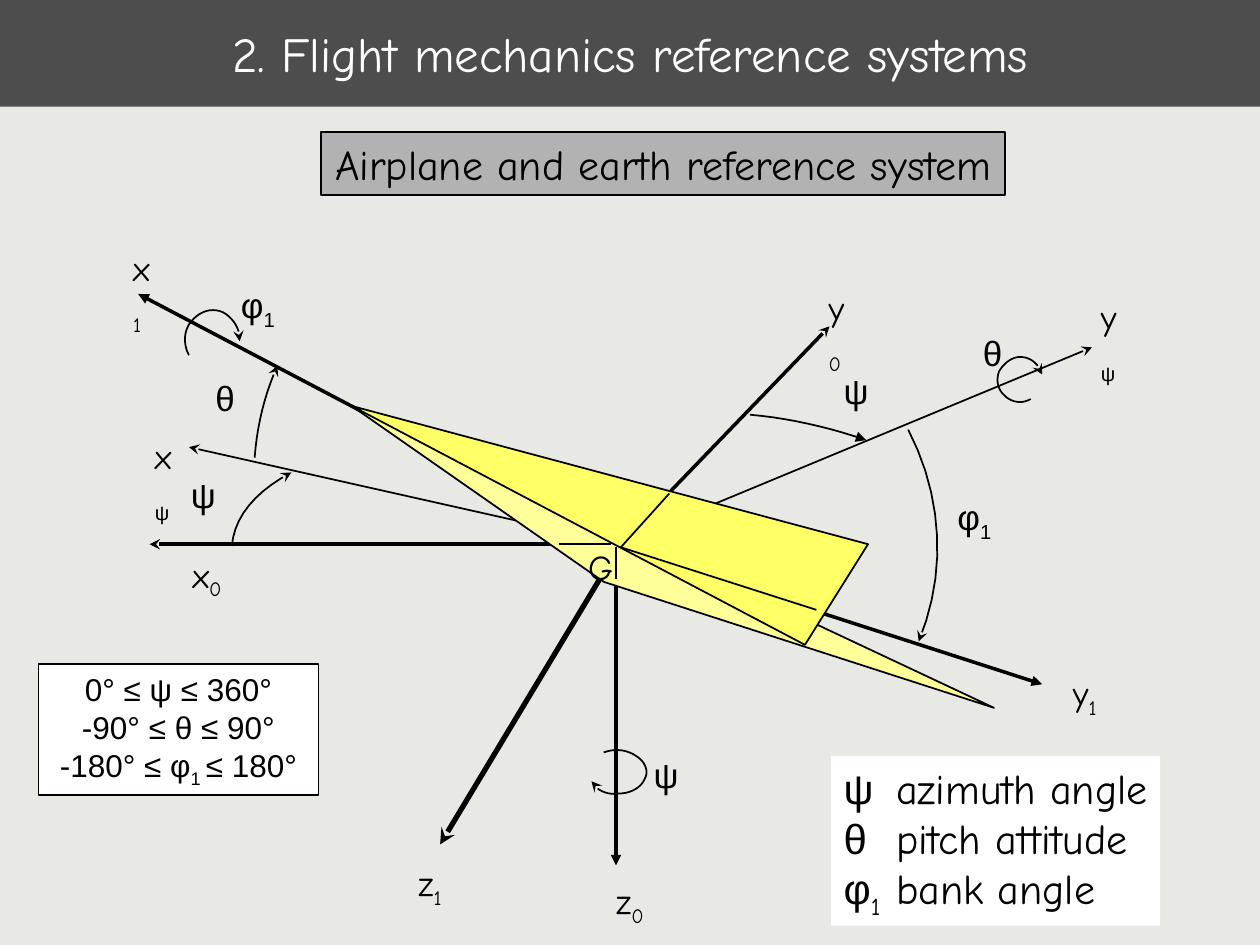
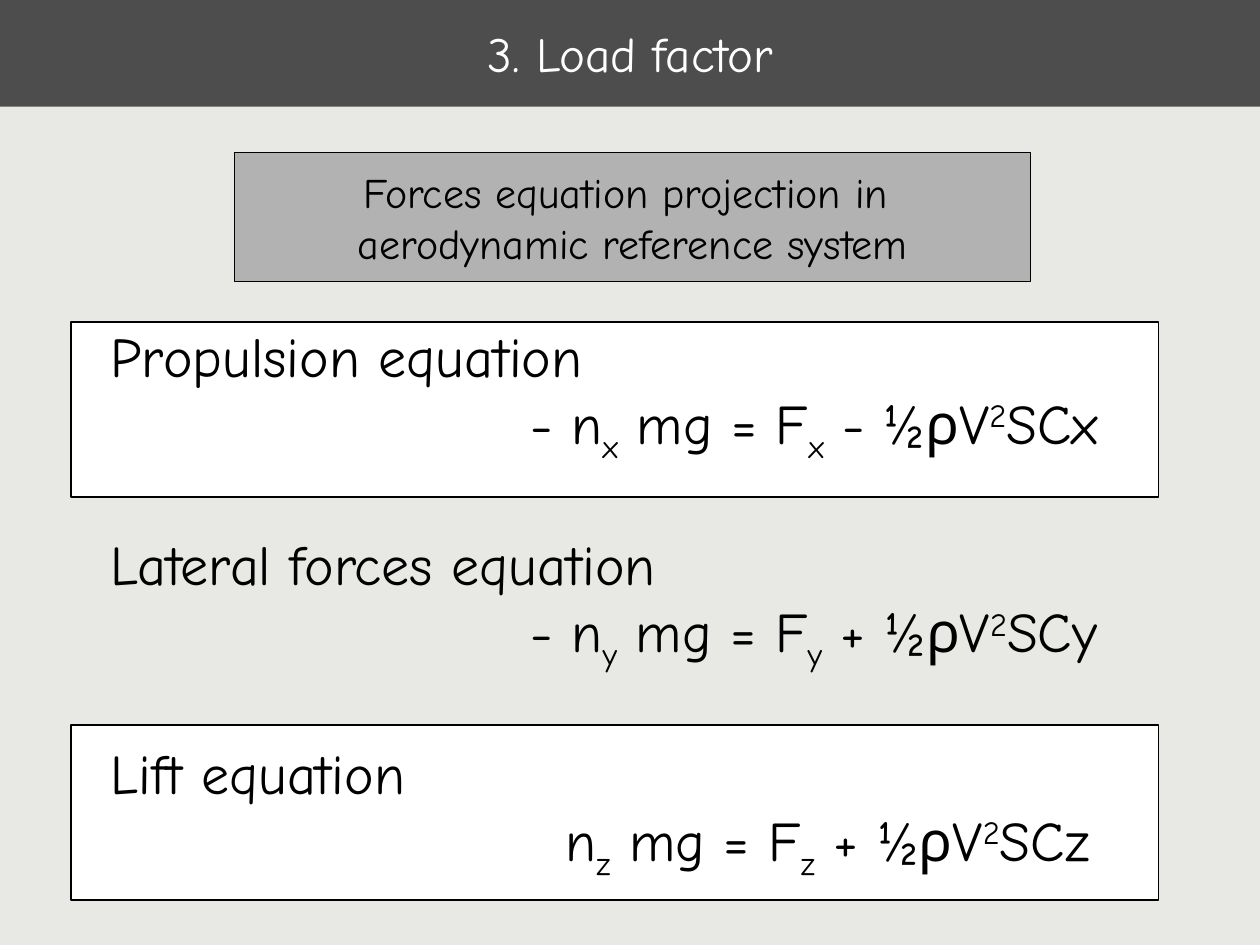
from lxml import etree
from pptx import Presentation
from pptx.enum.shapes import MSO_CONNECTOR, MSO_SHAPE
from pptx.enum.text import MSO_ANCHOR, MSO_AUTO_SIZE, PP_ALIGN
from pptx.dml.color import RGBColor
from pptx.oxml.ns import qn
from pptx.util import Pt

rgb = RGBColor.from_string
BLACK, WHITE = "000000", "FFFFFF"
PAPER, BAND, SUBTITLE = "E8E8E4", "4D4D4D", "B2B2B2"
COMIC, ARIAL = "Comic Neue", "Arial"
SUB, SUP = -25000, 30000
GREEK = "ψθφ"


def add_runs(p, size, runs, color=BLACK):
    """Each run is (text, font, baseline shift)."""
    for text, font, shift in runs:
        r = p.add_run()
        r.text = text
        r.font.name = font
        r.font.size = Pt(size)
        r.font.color.rgb = rgb(color)
        if shift:
            r._r.get_or_add_rPr().set("baseline", str(shift))


def style(shape, width, head=None, fill=None):
    """Black outline, optional arrowhead at the end and fill, no shadow."""
    if fill:
        shape.fill.solid()
        shape.fill.fore_color.rgb = rgb(fill)
    if width:
        shape.line.color.rgb = rgb(BLACK)
        shape.line.width = Pt(width)
    else:
        shape.line.fill.background()
    spPr = shape._element.spPr
    if head:
        etree.SubElement(spPr.find(qn("a:ln")), qn("a:tailEnd"), type=head)
    etree.SubElement(spPr, qn("a:effectLst"))


prs = Presentation()
prs.slide_width, prs.slide_height = Pt(720), Pt(540)
bg = prs.slide_master.background.fill
bg.solid()
bg.fore_color.rgb = rgb(PAPER)

# Title band and grey subtitle box of both slides
pages = [
    ("2. Flight mechanics reference systems",
     (183.5, 75.6, 391, 36), 1, ["Airplane and earth reference system"]),
    ("3. Load factor",
     (134, 87, 455, 74), 0.75,
     ["Forces equation projection in ", "aerodynamic reference system"]),
]
slides = []
for title, rect, width, lines in pages:
    s = prs.slides.add_slide(prs.slide_layouts[5])
    slides.append(s)
    band = s.shapes.title
    band.left, band.top, band.width, band.height = Pt(0), Pt(0), Pt(720), Pt(61)
    band.fill.solid()
    band.fill.fore_color.rgb = rgb(BAND)
    tf = band.text_frame
    tf.vertical_anchor = MSO_ANCHOR.MIDDLE
    p = tf.paragraphs[0]
    p.alignment = PP_ALIGN.CENTER
    add_runs(p, 28, [(title, COMIC, 0)], WHITE)

    sp = s.shapes.add_shape(MSO_SHAPE.RECTANGLE, *map(Pt, rect))
    style(sp, width, fill=SUBTITLE)
    tf = sp.text_frame
    tf.word_wrap = len(lines) > 1
    tf.vertical_anchor = MSO_ANCHOR.MIDDLE
    p = tf.paragraphs[0]
    p.alignment = PP_ALIGN.CENTER
    for i, text in enumerate(lines):
        if i:
            p.add_line_break()
        add_runs(p, 24, [(text, COMIC, 0)])

# Slide 1: axes from the centre of gravity
s = slides[0]
axes = [
    (354, 313, 595.5, 391, 2, "triangle"),     # y1
    (353.5, 313, 251.5, 482.5, 3, "stealth"),  # z1
    (353, 312, 79, 168, 2, "triangle"),        # x1
    (352, 314, 352, 494.5, 2, "triangle"),     # z0
    (353, 311, 85.5, 311, 2, "stealth"),       # x0
    (354, 311, 474, 186.5, 2, "stealth"),      # y0
    (348.5, 309.5, 108, 255.5, 1, "stealth"),  # x psi
    (354, 310.5, 624, 198.5, 1, "stealth"),    # y psi
]
for x1, y1, x2, y2, width, head in axes:
    axis = s.shapes.add_connector(MSO_CONNECTOR.STRAIGHT, Pt(x1), Pt(y1), Pt(x2), Pt(y2))
    style(axis, width, head)

# Angle arcs: a start point, then two control points and an end per curve
arcs = [
    ("triangle", [(428.5, 237), (451, 239), (473, 244), (495, 251.5)]),
    ("stealth", [(132.5, 312), (134, 295), (146, 281), (166.5, 270)]),
    ("stealth", [(145.5, 261.5), (147, 242), (151.5, 225), (158.5, 209)]),
    ("stealth", [(519, 245.5), (539, 284), (541, 328), (525, 366.5)]),
    ("stealth", [(589, 228), (584, 231), (578, 230), (574, 226),
                 (570, 222.5), (569, 217), (571, 212),
                 (574, 207), (579, 203.5), (584, 204),
                 (590, 204.5), (594, 209), (595.5, 214)]),
    ("stealth", [(108, 203), (104.5, 196.5), (105, 188.5), (109.5, 183.5),
                 (114, 178), (121, 175.5), (127.5, 178.5),
                 (133, 181.5), (137.5, 188), (137, 195)]),
    ("stealth", [(345, 430), (351.5, 427.5), (358.5, 428.5), (363.5, 432),
                 (368.5, 435), (371, 440.5), (368.5, 445),
                 (366.5, 450), (360.5, 453.5), (353.5, 453.5),
                 (347, 454.5), (340.5, 451.5), (338, 446.5)]),
]
STEPS = 10
for head, pts in arcs:
    curve = []
    for i in range(0, len(pts) - 1, 3):
        for k in range(1, STEPS + 1):
            t = k / STEPS
            weights = ((1 - t) ** 3, 3 * t * (1 - t) ** 2, 3 * t * t * (1 - t), t ** 3)
            curve.append(tuple(Pt(sum(w * pt[axis] for w, pt in zip(weights, pts[i:i + 4])))
                               for axis in (0, 1)))
    builder = s.shapes.build_freeform(Pt(pts[0][0]), Pt(pts[0][1]))
    builder.add_line_segments(curve, close=False)
    arc = builder.convert_to_shape()
    arc.fill.background()
    style(arc, 1, head)

# Airplane: lower and upper wing surfaces
wings = [
    ("FFFF99", [(568, 404.5), (345, 332.5), (201, 232)]),
    ("FFFF66", [(201, 232), (496, 311), (460, 368.5)]),
]
for fill, corners in wings:
    first, *rest = [(Pt(x), Pt(y)) for x, y in corners]
    builder = s.shapes.build_freeform(*first)
    builder.add_line_segments(rest, close=True)
    style(builder.convert_to_shape(), 1, fill=fill)

# Axis parts seen across the airplane
for x1, y1, x2, y2 in [(319.5, 311, 349, 311), (355, 312.5, 382.5, 282),
                       (352, 312.5, 352, 331), (354, 312.5, 466.5, 348.5)]:
    part = s.shapes.add_connector(MSO_CONNECTOR.STRAIGHT, Pt(x1), Pt(y1), Pt(x2), Pt(y2))
    style(part, 1)

# Labels: left, top, width, letter, subscript
labels = [
    (232, 489, 27.5, "z", "1"), (69, 137.5, 28, "x", "1"), (606, 380, 28, "y", "1"),
    (345, 499, 30, "z", "0"), (103, 312.5, 31, "x", "0"), (466.5, 160, 30, "y", "0"),
    (81.5, 245, 28, "x", "ψ"), (622, 165.5, 28, "y", "ψ"),
    (102, 267, 28, "ψ", ""), (475, 207.5, 28, "ψ", ""), (366.5, 427, 28, "ψ", ""),
    (116, 211.5, 24.5, "θ", ""), (554.5, 186, 24.5, "θ", ""),
    (130.5, 158.5, 34.5, "φ", "1"), (540, 279.5, 34.5, "φ", "1"),
    (329, 308, 29, "G", ""),
]
for x, y, w, letter, sub in labels:
    tf = s.shapes.add_textbox(Pt(x), Pt(y), Pt(w), Pt(34.5 if sub else 31)).text_frame
    tf.word_wrap = sub == "ψ"  # this subscript drops to a second line
    font = ARIAL if letter in GREEK else COMIC
    runs = [(letter, font, 0)]
    if sub:
        runs.append((sub, ARIAL if sub in GREEK else font, SUB))
    add_runs(tf.paragraphs[0], 20, runs)

# Legend and angle limits
legend = [
    [("ψ\t", ARIAL, 0), ("azimuth angle", COMIC, 0)],
    [("θ\t", ARIAL, 0), ("pitch attitude", COMIC, 0)],
    [("φ", ARIAL, 0), ("1\t", COMIC, SUB), ("bank angle", COMIC, 0)],
]
limits = [
    [("0° ≤ ψ ≤ 360°", ARIAL, 0)],
    [("-90° ≤ θ ≤ 90°", ARIAL, 0)],
    [("-180° ≤ φ", ARIAL, 0), ("1 ", ARIAL, SUB), ("≤ 180°", ARIAL, 0)],
]
for rect, width, size, align, anchor, rows in [
    ((475, 432, 188, 97), 0, 24, PP_ALIGN.LEFT, MSO_ANCHOR.TOP, legend),
    ((22, 379.5, 160, 75), 1, 18, PP_ALIGN.CENTER, MSO_ANCHOR.MIDDLE, limits),
]:
    sp = s.shapes.add_shape(MSO_SHAPE.RECTANGLE, *map(Pt, rect))
    style(sp, width, fill=WHITE)
    tf = sp.text_frame
    tf.word_wrap = rows is limits
    tf.auto_size = MSO_AUTO_SIZE.SHAPE_TO_FIT_TEXT
    tf.vertical_anchor = anchor
    for i, runs in enumerate(rows):
        p = tf.add_paragraph() if i else tf.paragraphs[0]
        p.alignment = align
        if rows is legend:
            tabs = etree.SubElement(p._p.get_or_add_pPr(), qn("a:tabLst"))
            etree.SubElement(tabs, qn("a:tab"), pos=str(Pt(30)), algn="l")
        add_runs(p, size, runs)

# Slide 2: white boxes behind the first and last equation
s = slides[1]
for y in (184, 414.5):
    sp = s.shapes.add_shape(MSO_SHAPE.RECTANGLE, Pt(40.5), Pt(y), Pt(621.5), Pt(100))
    style(sp, 1, fill=WHITE)

# Equations: name, axis, sign of the left side, sign of the air force, indent
equations = [
    ("Propulsion equation", "x", "- ", "-", 240),
    ("Lateral forces equation", "y", "- ", "+", 240),
    ("Lift equation", "z", "", "+", 260),
]
tf = s.shapes.add_textbox(Pt(56), Pt(178.5), Pt(608.5), Pt(330.5)).text_frame
tf.word_wrap = True
tf.vertical_anchor = MSO_ANCHOR.MIDDLE
for i, (name, axis, sign, force_sign, indent) in enumerate(equations):
    p = tf.add_paragraph() if i else tf.paragraphs[0]
    if i:
        p.space_before = Pt(37)
    add_runs(p, 32, [(name, COMIC, 0)])
    p = tf.add_paragraph()
    p._p.get_or_add_pPr().set("marL", str(Pt(indent)))
    add_runs(p, 32, [
        (f"{sign}n", COMIC, 0), (axis, COMIC, SUB),
        (" mg = F", COMIC, 0), (axis, COMIC, SUB),
        (f" {force_sign} ½ρV", COMIC, 0), ("2", COMIC, SUP),
        (f"SC{axis}", COMIC, 0),
    ])

prs.save("out.pptx")
